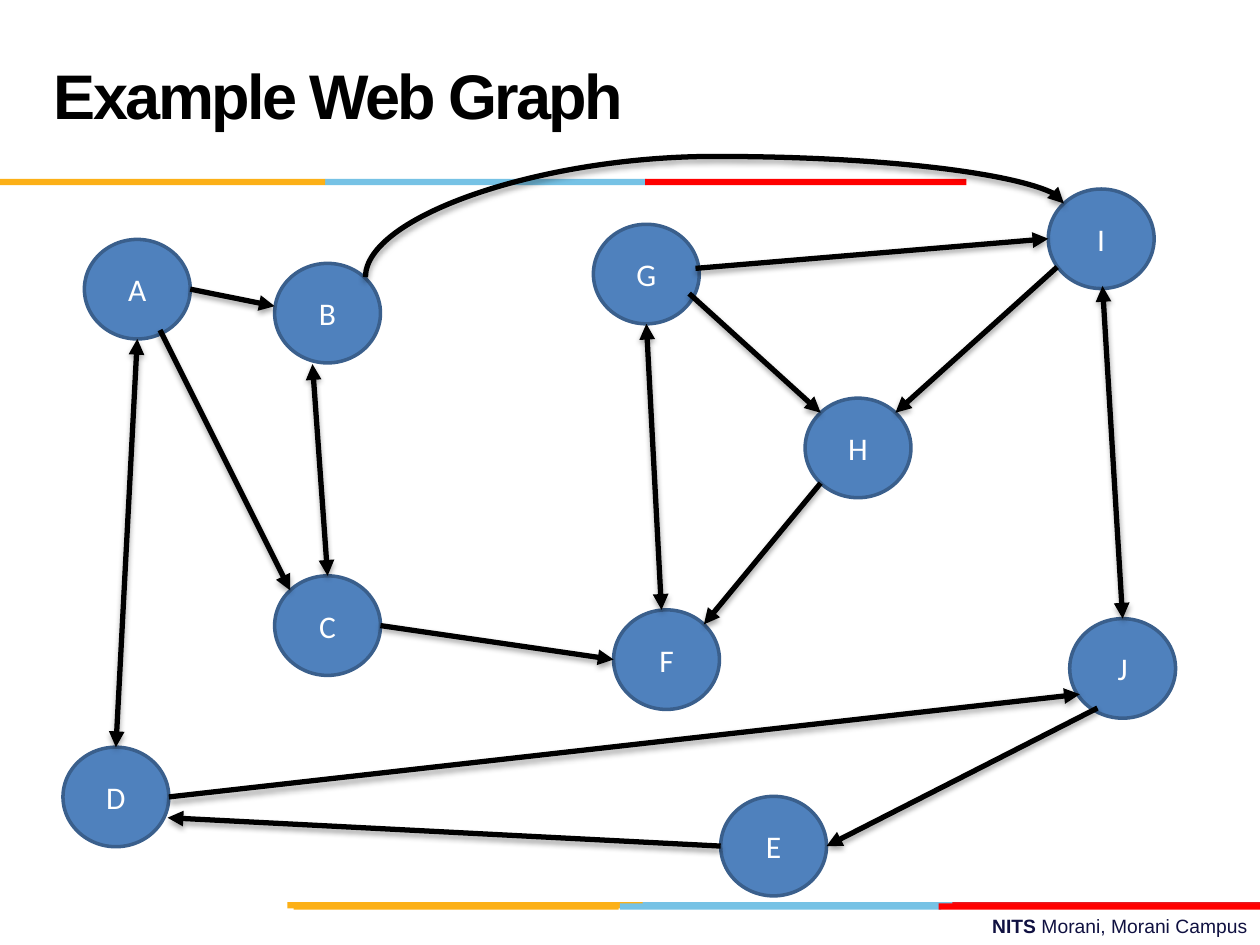
from math import sqrt

from lxml import etree
from pptx import Presentation
from pptx import util as u
from pptx.dml.color import RGBColor
from pptx.enum import shapes, text
from pptx.oxml.ns import qn

TITLE = "Example Web Graph"
FOOTER = [("NITS ", True), ("Morani, Morani Campus", False)]

COLUMNS = 100
NODE_SIZE = (8.4, 7.9)
NODES = {
    "A": (6.7, 19), "B": (21.8, 20.9), "C": (21.8, 45.7), "F": (48.7, 48.4),
    "D": (5, 59.3), "H": (63.9, 31.6), "E": (57.2, 63.2), "G": (47.1, 17.8),
    "J": (84.9, 49.1), "I": (83.2, 15),
}
ONE_WAY = [
    ("A right", (21.8, 24.3)), ("C right", "F left"), ((12.7, 26.2), "C top left"),
    ("E left", (13.3, 64.9)), ((54.7, 23.3), "H top left"), ((55.2, 21.3), "I left"),
    ((83.9, 21.2), "H top right"), ("D right", (85.7, 55.1)),
    ("H bottom left", "F top right"), ((87.1, 56.2), "E right"),
]
TWO_WAY = [
    ("A bottom", "D top"), ((24.8, 28.9), "C top"),
    ("G bottom", (52.5, 48.4)), ((87.5, 22.7), "J top"),
]
ARC = ((29, 22), "I top left")
ARC_BEND = 1.64

BAR_HEIGHT = 0.5
BARS = [
    (71.6, [(50.6, 25.5, "sky"), (75.6, 24.4, "crimson"), (22.8, 28.2, "amber")]),
    (71.7, [(49.2, 25.5, "sky"), (23.3, 25.8, "amber"), (74.5, 25.5, "red")]),
    (14.2, [(25.8, 25.5, "sky"), (0, 25.8, "amber"), (51.2, 25.5, "red")]),
]

THEME = {
    "amber": "FCB017", "sky": "76C2E5", "red": "FF0000", "crimson": "E31C24",
    "node": "4F81BD", "outline": "3A5F8C", "edge": "000000",
    "title": {"size": 36, "font": "Arial", "color": "000000"},
    "footer": {"size": 11, "font": "Arial", "color": "101141"},
    "label": {"size": 18, "font": "Calibri", "color": "FFFFFF"},
    "outline_width": 2, "edge_width": 3,
}

deck = Presentation()
deck.slide_width, deck.slide_height = u.Inches(10), u.Inches(7.5)
page = deck.slides.add_slide(deck.slide_layouts[6])


def grid(*lengths):
    return [round(length * deck.slide_width / COLUMNS) for length in lengths]


def color(name):
    return RGBColor.from_string(THEME.get(name, name))


def write(shape, spans, style, align=text.PP_ALIGN.LEFT,
          anchor=text.MSO_ANCHOR.MIDDLE, leading=None, tracking=None):
    frame = shape.text_frame
    frame.word_wrap = True
    frame.vertical_anchor = anchor
    para = frame.paragraphs[0]
    para.alignment = align
    if leading:
        para.line_spacing = u.Pt(leading)
    look = THEME[style]
    for words, bold in spans:
        span = para.add_run()
        span.text = words
        span.font.size, span.font.name = u.Pt(look["size"]), look["font"]
        span.font.bold = bold
        span.font.color.rgb = color(look["color"])
        if tracking is not None:
            span.font._element.set("spc", str(round(tracking * 100)))


def add_block(kind, place, fill, outline=None):
    shape = page.shapes.add_shape(kind, *grid(*place))
    shape.shadow.inherit = False
    shape.fill.solid()
    shape.fill.fore_color.rgb = color(fill)
    if outline:
        shape.line.color.rgb = color(outline)
        shape.line.width = u.Pt(THEME["outline_width"])
    else:
        shape.line.fill.background()
    return shape


def locate(end):
    if isinstance(end, tuple):
        return end
    name, *sides = end.split()
    reach = 0.5 / sqrt(len(sides))
    across = ("right" in sides) - ("left" in sides)
    down = ("bottom" in sides) - ("top" in sides)
    (left, top), (width, height) = NODES[name], NODE_SIZE
    return left + width * (0.5 + reach * across), top + height * (0.5 + reach * down)


def add_edge(kind, start, finish, both=False):
    line = page.shapes.add_connector(kind, *grid(*start, *finish))
    line.line.color.rgb = color("edge")
    line.line.width = u.Pt(THEME["edge_width"])
    stroke = line.line._get_or_add_ln()
    for tip in ["headEnd", "tailEnd"] if both else ["tailEnd"]:
        etree.SubElement(stroke, qn("a:" + tip), type="triangle")
    effects = etree.SubElement(line._element.spPr, qn("a:effectLst"))
    shadow = etree.SubElement(effects, qn("a:outerShdw"), blurRad="40000", dist="23000",
                              dir="5400000", rotWithShape="0")
    tint = etree.SubElement(shadow, qn("a:srgbClr"), val=THEME["edge"])
    etree.SubElement(tint, qn("a:alpha"), val="35000")
    return line


def add_arc(start, finish, bend):
    (x1, y1), (x2, y2) = start, finish
    middle_x, middle_y = (x1 + x2) / 2, (y1 + y2) / 2
    half_x, half_y = (x2 - x1) / 2, (y1 - y2) / 2
    arc = add_edge(shapes.MSO_CONNECTOR.CURVE,
                   (middle_x + half_y, middle_y + half_x),
                   (middle_x - half_y, middle_y - half_x))
    properties = arc._element.spPr
    properties.find(qn("a:xfrm")).set("rot", "5400000")
    guides = properties.find(qn("a:prstGeom")).find(qn("a:avLst"))
    etree.SubElement(guides, qn("a:gd"), name="adj1", fmla=f"val {round(bend * 100000)}")


footer = page.shapes.add_textbox(*grid(35.8, 72.1, 64.2, 2.9))
write(footer, FOOTER, "footer", align=text.PP_ALIGN.RIGHT, anchor=text.MSO_ANCHOR.TOP)

for top, bars in BARS:
    for left, width, fill in bars:
        add_block(shapes.MSO_SHAPE.RECTANGLE, (left, top, width, BAR_HEIGHT), fill)

title = page.shapes.add_textbox(*grid(3.3, 1.7, 69.2, 12.5))
write(title, [(TITLE, True)], "title", leading=36, tracking=-1.5)

for name, corner in NODES.items():
    node = add_block(shapes.MSO_SHAPE.OVAL, corner + NODE_SIZE, "node", "outline")
    write(node, [(name, False)], "label", align=text.PP_ALIGN.CENTER)

for edges, both in [(ONE_WAY, False), (TWO_WAY, True)]:
    for start, finish in edges:
        add_edge(shapes.MSO_CONNECTOR.STRAIGHT, locate(start), locate(finish), both)
add_arc(*map(locate, ARC), ARC_BEND)

deck.save("out.pptx")
